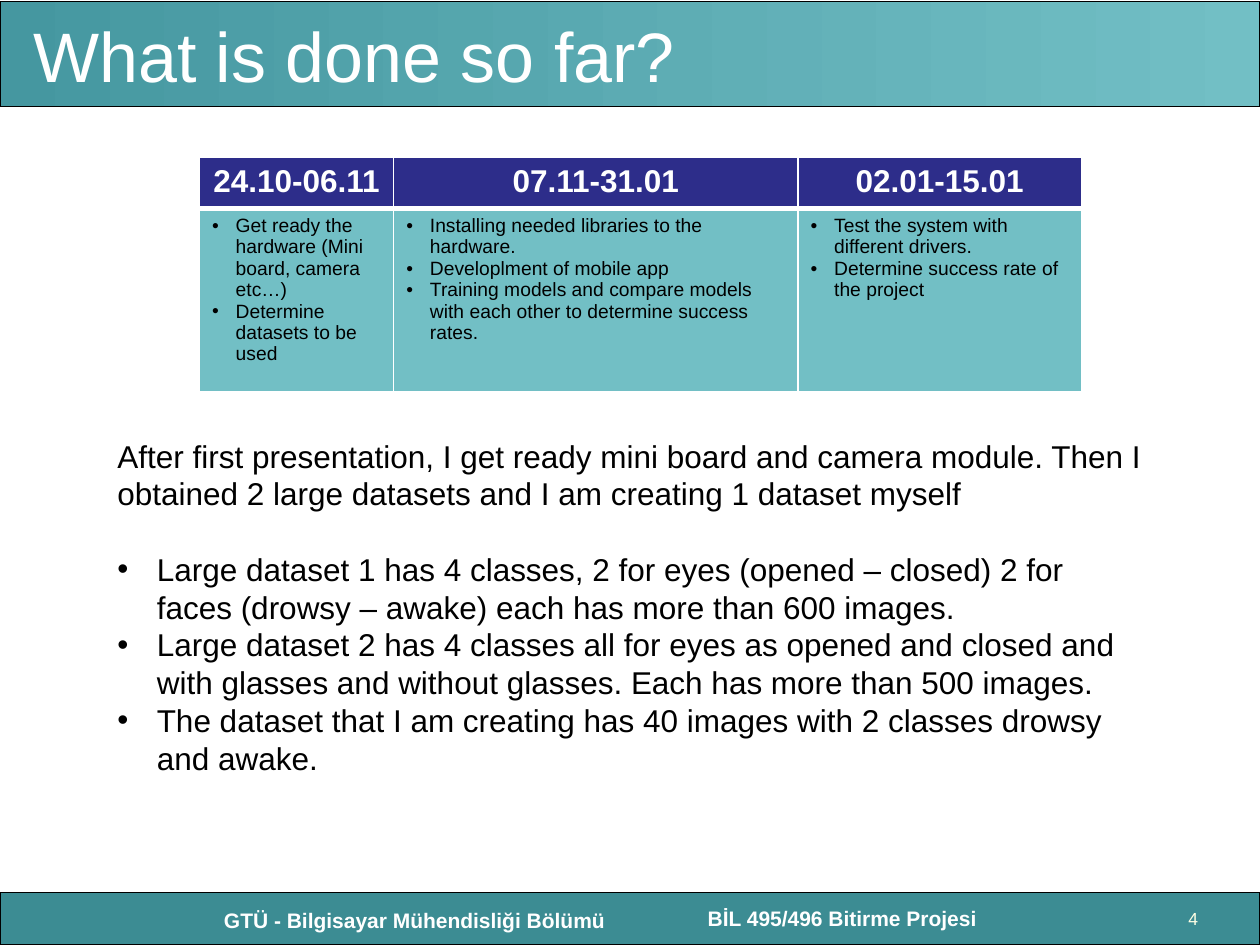
"""Build the progress slide: title bar, schedule table, dataset notes and footer."""
from pptx import Presentation
from pptx.dml.color import RGBColor
from pptx.enum.shapes import MSO_SHAPE
from pptx.enum.text import MSO_ANCHOR, PP_ALIGN
from pptx.oxml import parse_xml
from pptx.oxml.ns import nsdecls
from pptx.util import Pt
from lxml.etree import SubElement

theme = {
    "font": "Arial",
    "white": "FFFFFF", "black": "000000", "navy": "2D2D8A", "aqua": "72BFC5",
    "teal": "4597A0", "deep": "3C8C93", "cream": "FFFFE5",
    "title": 40, "body": 18, "cell": 11, "foot": 12, "page": 10,
}


def write(frame, lines, size, color, bold=False, align=PP_ALIGN.LEFT, indent=0, plain=0):
    """Fill a text frame; lines after the first plain ones get bullets if indent is set."""
    frame.word_wrap = True
    for i, line in enumerate(lines):
        para = frame.paragraphs[0] if i == 0 else frame.add_paragraph()
        para.text = line
        para.alignment = align
        font = para.font
        font.name, font.size, font.bold = theme["font"], Pt(size), bold
        font.color.rgb = RGBColor.from_string(theme[color])
        if indent and i >= plain:
            props = para._p.get_or_add_pPr()
            props.set("marL", str(Pt(indent)))
            props.set("indent", str(-Pt(indent)))
            props.append(parse_xml(f'<a:buFont {nsdecls("a")} typeface="Arial"/>'))
            props.append(parse_xml(f'<a:buChar {nsdecls("a")} char="•"/>'))
            props.append(props.find("{*}defRPr"))


def edge(cell, widths):
    """Draw white borders on the left, right, top and bottom of a cell."""
    props = cell._tc.get_or_add_tcPr()
    for i, (side, width) in enumerate(zip("LRTB", widths)):
        line = parse_xml(
            f'<a:ln{side} {nsdecls("a")} w="{Pt(width)}"><a:solidFill>'
            f'<a:srgbClr val="{theme["white"]}"/></a:solidFill></a:ln{side}>')
        props.insert(i, line)


deck = Presentation()
deck.slide_width, deck.slide_height = Pt(720), Pt(540)
slide = deck.slides.add_slide(deck.slide_layouts[6])
shapes = slide.shapes

for top, height, stops in [(509.8, 30.2, ["deep"]), (0.7, 60, ["teal", "aqua"])]:
    bar = shapes.add_shape(MSO_SHAPE.RECTANGLE, 0, Pt(top), Pt(720), Pt(height))
    bar.shadow.inherit = False
    bar.line.color.rgb = RGBColor.from_string(theme["black"])
    bar.line.width = Pt(0.75)
    if len(stops) == 1:
        bar.fill.solid()
        bar.fill.fore_color.rgb = RGBColor.from_string(theme[stops[0]])
    else:
        bar.fill.gradient()
        bar.fill.gradient_angle = 0
        for stop, name in zip(bar.fill.gradient_stops, stops):
            stop.color.rgb = RGBColor.from_string(theme[name])

labels = [
    ((114, 514.8, 246, 21.6), "GTÜ - Bilgisayar Mühendisliği Bölümü", "foot", "white", True, PP_ALIGN.CENTER),
    ((360, 514.1, 246, 21.6), "BİL 495/496 Bitirme Projesi ", "foot", "white", True, PP_ALIGN.CENTER),
    ((12, 8.6, 618, 45.4), "What is done so far?", "title", "white", False, PP_ALIGN.LEFT),
    ((672, 516.2, 36, 6), "4", "page", "cream", False, PP_ALIGN.LEFT),
]
for place, text, size, color, bold, align in labels:
    box = shapes.add_textbox(*map(Pt, place))
    write(box.text_frame, [text], theme[size], color, bold, align)
    if size == "title":
        box.text_frame.vertical_anchor = MSO_ANCHOR.MIDDLE

plan = [
    (111, "24.10-06.11", ["Get ready the hardware (Mini board, camera etc…)",
                          "Determine datasets to be used"]),
    (231, "07.11-31.01", ["Installing needed libraries to the hardware.",
                          "Developlment of mobile app",
                          "Training models and compare models with each other to determine success rates."]),
    (162, "02.01-15.01", ["Test the system with different drivers.",
                          "Determine success rate of the project"]),
]
table = shapes.add_table(2, len(plan), Pt(114), Pt(90), Pt(504), Pt(134)).table
table.rows[0].height, table.rows[1].height = Pt(29.2), Pt(104.8)
for col, (width, dates, tasks) in enumerate(plan):
    table.columns[col].width = Pt(width)
    head, cell = table.cell(0, col), table.cell(1, col)
    write(head.text_frame, [dates], theme["body"], "white", True, PP_ALIGN.CENTER)
    write(cell.text_frame, tasks, theme["cell"], "black", indent=13.5)
    for part, color, widths in [(head, "navy", (1, 1, 1, 3)), (cell, "aqua", (1, 1, 3, 1))]:
        part.fill.solid()
        part.fill.fore_color.rgb = RGBColor.from_string(theme[color])
        edge(part, widths)

notes = [
    "After first presentation, I get ready mini board and camera module. Then "
    "I obtained 2 large datasets and I am creating 1 dataset myself",
    "Large dataset 1 has 4 classes, 2 for eyes (opened – closed) 2 for "
    "faces (drowsy – awake) each has more than 600 images.",
    "Large dataset 2 has 4 classes all for eyes as opened and closed and "
    "with glasses and without glasses. Each has more than 500 images.",
    "The dataset that I am creating has 40 images with 2 classes drowsy and awake.",
]
body = shapes.add_textbox(Pt(60), Pt(246), Pt(600), Pt(247)).text_frame
write(body, notes, theme["body"], "black", indent=22.5, plain=1)
body.paragraphs[1].space_before = Pt(21.5)

deck.save("out.pptx")
